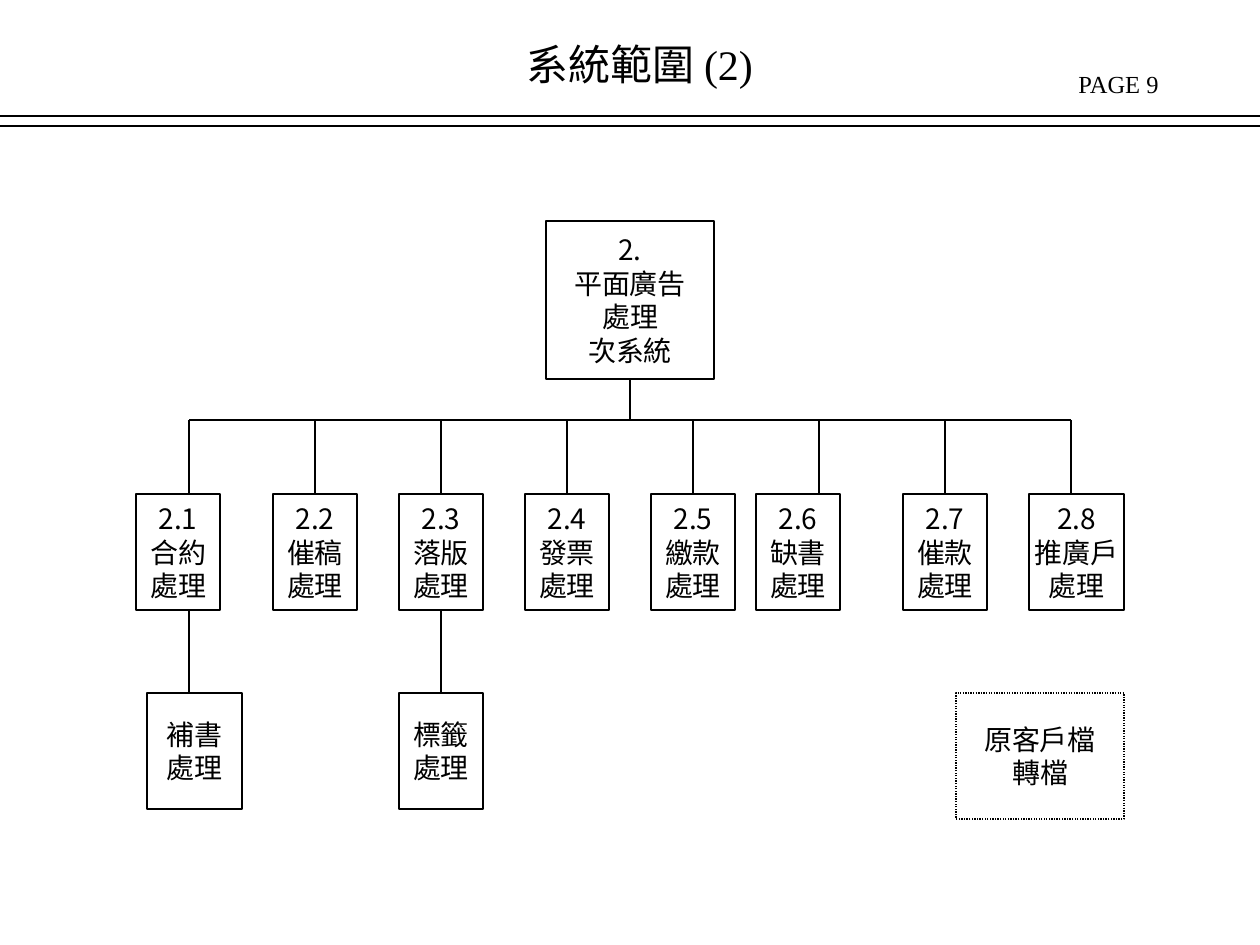
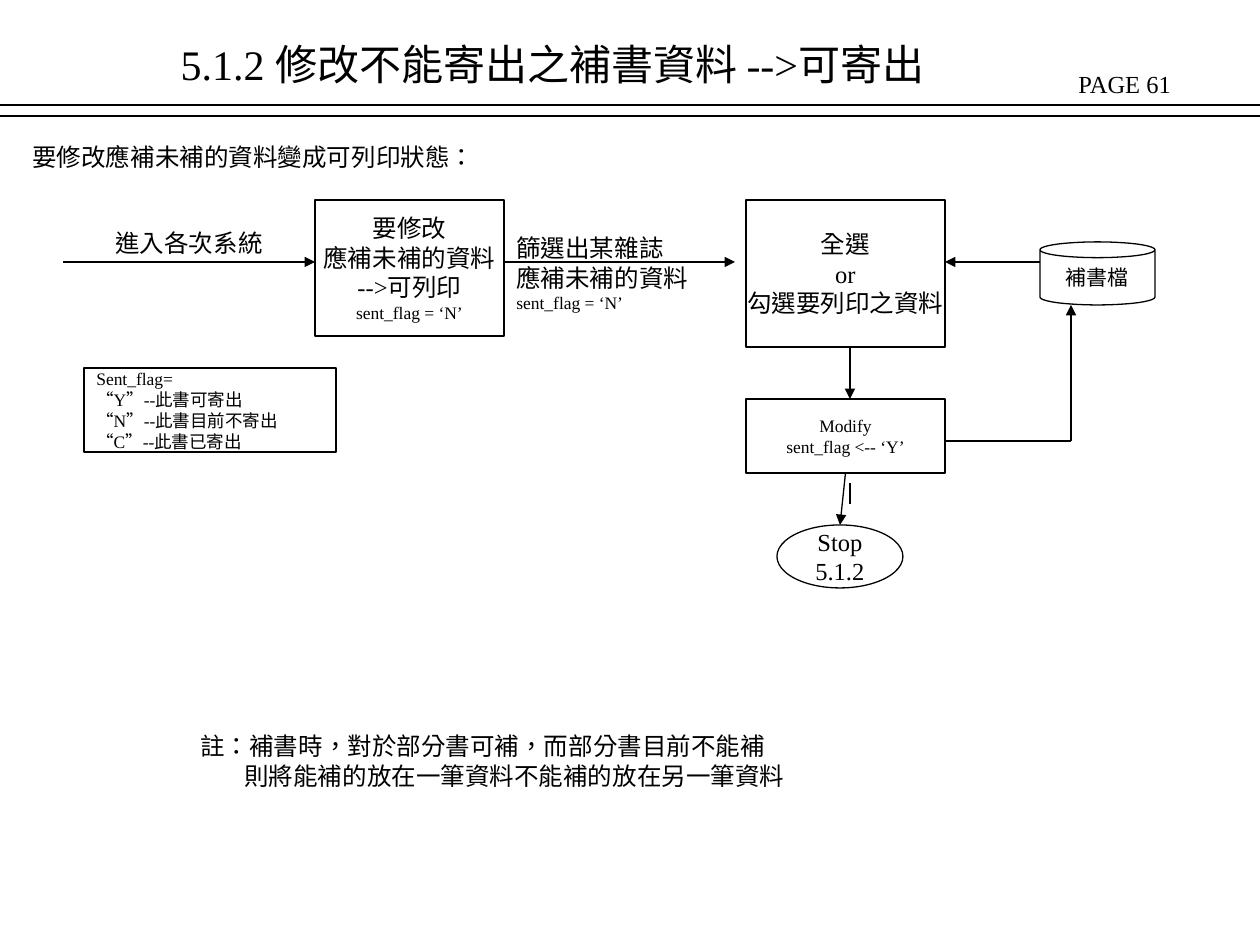
from lxml.etree import SubElement
from pptx import Presentation
from pptx.dml.color import RGBColor
from pptx.enum.dml import MSO_LINE
from pptx.enum.lang import MSO_LANGUAGE_ID as Lang
from pptx.enum.shapes import MSO_CONNECTOR, MSO_SHAPE as Shape
from pptx.enum.text import MSO_ANCHOR as Anchor, MSO_AUTO_SIZE as AutoSize, PP_ALIGN as Align
from pptx.oxml.ns import qn
from pptx.util import Emu, Pt

PX = 914400 / 126
COLORS = {"ink": "000000", "paper": "FFFFFF"}
INK = RGBColor.from_string(COLORS["ink"])
SERIF, SANS = "Times New Roman", "Noto Sans CJK SC"
TOP, BOTTOM = 0, 2


def write(shape, lines, align=Align.LEFT, anchor=Anchor.TOP, font=SERIF):
    """Fill a shape with (text, size) lines; only left-aligned text wraps."""
    frame = shape.text_frame
    frame.auto_size = AutoSize.NONE
    frame.word_wrap = align == Align.LEFT
    frame.vertical_anchor = anchor
    for number, (text, size) in enumerate(lines):
        para = frame.add_paragraph() if number else frame.paragraphs[0]
        para.alignment = align
        para.line_spacing = Pt(round(size * 1.2, 1))
        span = para.add_run()
        span.text = text
        span.font.name = font
        span.font.size = Pt(size)
        span.font.color.rgb = INK
        span.font.language_id = Lang.TRADITIONAL_CHINESE
        span.font._element.find(qn("a:latin")).addnext(
            span.font._element.makeelement(qn("a:ea"), {"typeface": SANS}))


def connect(page, x1, y1, x2, y2, arrow=False, start=None, end=None):
    """Draw a straight line, joined to the bottom of start and the top of end."""
    ends = [Emu(round(v * PX)) for v in (x1, y1, x2, y2)]
    line = page.shapes.add_connector(MSO_CONNECTOR.STRAIGHT, *ends)
    if start is not None:
        line.begin_connect(start, BOTTOM)
    if end is not None:
        line.end_connect(end, TOP)
    line.line.color.rgb = INK
    line.line.width = Pt(0.75)
    if arrow:
        SubElement(line.line._get_or_add_ln(), qn("a:tailEnd"), type="triangle")
    SubElement(line._element.spPr, qn("a:effectLst"))


deck = Presentation()
deck.slide_width, deck.slide_height = Emu(round(1260 * PX)), Emu(round(945 * PX))

# Shared header: title, page label and double rule
headers = [
    ("系統範圍 (2)", "PAGE 9", (514, 32, 347, 63), (116, 126)),
    ("5.1.2 修改不能寄出之補書資料 -->可寄出", "PAGE 61", (168, 32, 829, 113), (105, 116)),
]
pages = []
for title_text, page_label, title_place, rules in headers:
    page = deck.slides.add_slide(deck.slide_layouts[5])
    page.background.fill.solid()
    page.background.fill.fore_color.rgb = RGBColor.from_string(COLORS["paper"])
    title = page.shapes.title
    title.left, title.top, title.width, title.height = [Emu(round(v * PX)) for v in title_place]
    write(title, [(title_text, 24)])
    label = page.shapes.add_textbox(*[Emu(round(v * PX)) for v in (1066, 63, 194, 43)])
    write(label, [(page_label, 14)])
    for y in rules:
        connect(page, 0, y, 1260, y)
    pages.append(page)
scope_page, flow_page = pages

# Every outlined shape: page, name, preset, place, lines, alignment, font
MODULE_TOP, MODULE_HEIGHT = 494, 116
modules = [  # number, name, left, width
    ("2.1", "合約", 136, 84), ("2.2", "催稿", 273, 84), ("2.3", "落版", 399, 84),
    ("2.4", "發票", 525, 84), ("2.5", "繳款", 651, 84), ("2.6", "缺書", 756, 84),
    ("2.7", "催款", 903, 84), ("2.8", "推廣戶", 1029, 95),
]
tree_boxes = [
    ("root", (546, 221, 168, 158), ["2.", "平面廣告", "處理", "次系統"]),
    ("reissue", (147, 693, 95, 116), ["補書", "處理"]),
    ("labels", (399, 693, 84, 116), ["標籤", "處理"]),
    ("transfer", (956, 693, 168, 126), ["原客戶檔", "轉檔"]),
]
for number, name, left, width in modules:
    tree_boxes.append((number, (left, MODULE_TOP, width, MODULE_HEIGHT), [number, name, "處理"]))

outlined = [(scope_page, key, Shape.RECTANGLE, place, [(text, 16) for text in texts],
             Align.CENTER, SANS) for key, place, texts in tree_boxes]

flow_shapes = [
    ("request", Shape.RECTANGLE, (315, 200, 189, 136), Align.CENTER,
     [("要修改", 14), ("應補未補的資料", 14), ("-->可列印", 14), ("sent_flag = ‘N’", 10)]),
    ("select", Shape.RECTANGLE, (746, 200, 199, 147), Align.CENTER,
     [("全選", 14), ("or", 14), ("勾選要列印之資料", 14)]),
    ("file", Shape.CAN, (1040, 242, 115, 63), Align.CENTER, [("補書檔", 12)]),
    ("modify", Shape.RECTANGLE, (746, 399, 199, 74), Align.CENTER,
     [("Modify", 10), ("sent_flag <-- ‘Y’", 10)]),
    ("stop", Shape.OVAL, (777, 525, 126, 63), Align.CENTER, [("Stop", 14), ("5.1.2", 14)]),
    ("legend", Shape.RECTANGLE, (84, 368, 252, 84), Align.LEFT,
     [("Sent_flag=", 10), ("“Y”--此書可寄出", 10), ("“N”--此書目前不寄出", 10),
      ("“C”--此書已寄出", 10)]),
]
for key, preset, place, align, lines in flow_shapes:
    outlined.append((flow_page, key, preset, place, lines, align, SERIF))

boxes = {}
for page, key, preset, place, lines, align, font in outlined:
    box = page.shapes.add_shape(preset, *[Emu(round(v * PX)) for v in place])
    box.shadow.inherit = False
    box.fill.background()
    box.line.color.rgb = INK
    box.line.width = Pt(0.75)
    write(box, lines, align, Anchor.MIDDLE, font)
    boxes[key] = box
boxes["transfer"].line.dash_style = MSO_LINE.ROUND_DOT

# Scope tree: trunk, bus and evenly spaced drops
BUS_Y, FIRST_DROP, DROP_STEP = 420, 189, 126
connect(scope_page, 630, 379, 630, BUS_Y, start=boxes["root"])
connect(scope_page, FIRST_DROP, BUS_Y, FIRST_DROP + 7 * DROP_STEP, BUS_Y)
for index, (number, name, left, width) in enumerate(modules):
    x = FIRST_DROP + index * DROP_STEP
    centred = left + width / 2 == x
    connect(scope_page, x, BUS_Y, x, MODULE_TOP, end=boxes[number] if centred else None)
connect(scope_page, 189, 610, 189, 693)
connect(scope_page, 441, 610, 441, 693, start=boxes["2.3"], end=boxes["labels"])

# Flow arrows and plain lines
for x1, y1, x2, y2, arrow in [
    (63, 262, 315, 262, True), (504, 262, 735, 262, True), (1040, 262, 945, 262, True),
    (850, 347, 850, 399, True), (850, 483, 850, 504, False),
    (945, 441, 1071, 441, False), (1071, 441, 1071, 305, True),
]:
    connect(flow_page, x1, y1, x2, y2, arrow)
connect(flow_page, 840, 473, 840, 525, True, start=boxes["modify"], end=boxes["stop"])

# Flow captions and note
captions = [
    ((20, 136, 475, 43), [("要修改應補未補的資料變成可列印狀態：", 14)]),
    ((103, 222, 185, 43), [("進入各次系統", 14)]),
    ((504, 227, 210, 113),
     [("篩選出某雜誌", 14), ("應補未補的資料", 14), ("sent_flag = ‘N’", 10)]),
    ((188, 725, 640, 72),
     [("註：補書時，對於部分書可補，而部分書目前不能補", 14),
      ("則將能補的放在一筆資料不能補的放在另一筆資料", 14)]),
]
for place, lines in captions:
    caption = flow_page.shapes.add_textbox(*[Emu(round(v * PX)) for v in place])
    write(caption, lines)
note_tail = caption.text_frame.paragraphs[1]._p.get_or_add_pPr()
note_tail.set("marL", str(round(44 * PX)))

deck.save("out.pptx")
